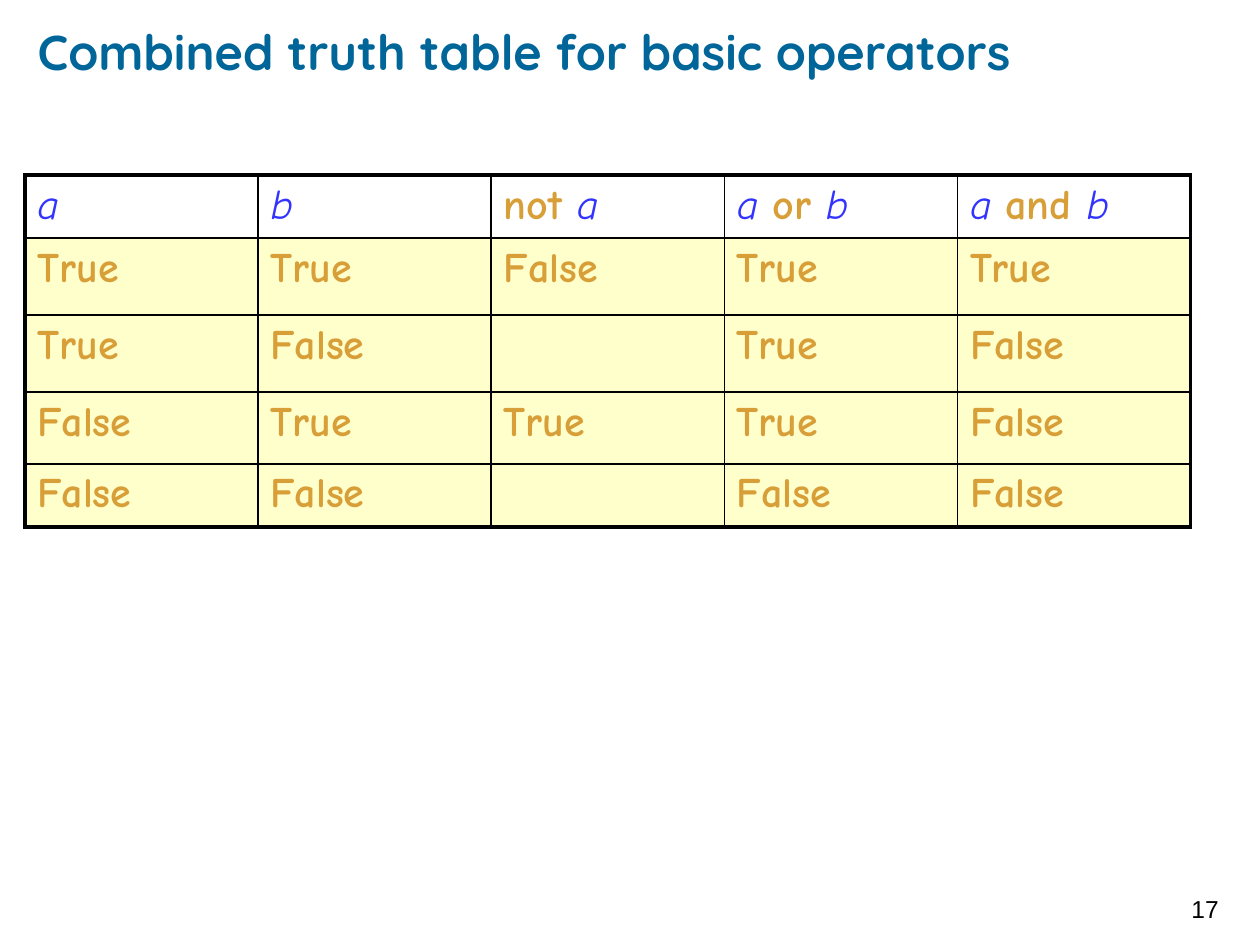
import pptx
import pptx.util
import pptx.dml.color
import pptx.enum.text
import pptx.oxml
import pptx.oxml.ns

Cm, Pt = pptx.util.Cm, pptx.util.Pt
HUES = {"title": "006699", "name": "3333FF", "word": "D89F39",
        "fill": "FFFFCC", "ink": "000000"}
HEAD = ["a", "b", "not a", "a or b", "a and b"]
BODY = [["True", "True", "False", "True", "True"],
        ["True", "False", "", "True", "False"],
        ["False", "True", "True", "True", "False"],
        ["False", "False", "", "False", "False"]]
TALL = [1.22, 1.55, 1.55, 1.45, 1.22]


def rgb(key):
    """Return the named colour."""
    return pptx.dml.color.RGBColor.from_string(HUES[key])


def style(run, face, size, hue, bold=False, slant=False):
    """Set the font of a run."""
    font = run.font
    font.name, font.size = face, Pt(size)
    font.bold, font.italic = bold, slant
    font.color.rgb = rgb(hue)


def label(slide, box, text, pad, *look):
    """Place one line of text, centred vertically in its box."""
    frame = slide.shapes.add_textbox(*map(Cm, box)).text_frame
    frame.word_wrap = True
    frame.vertical_anchor = pptx.enum.text.MSO_ANCHOR.MIDDLE
    frame.margin_left = frame.margin_right = Cm(pad)
    frame.margin_top = frame.margin_bottom = Cm(pad)
    frame.text = text
    style(frame.paragraphs[0].runs[0], *look)


def edge(cell, side, width):
    """Draw one border of a cell."""
    cell._tc.get_or_add_tcPr().append(pptx.oxml.parse_xml(
        f'<a:ln{side} {pptx.oxml.ns.nsdecls("a")} w="{Pt(width)}"><a:solidFill>'
        f'<a:srgbClr val="{HUES["ink"]}"/></a:solidFill></a:ln{side}>'))


def write(cell, text):
    """Write an expression, with variables slanted and other words bold."""
    words = text.split()
    for i, word in enumerate(words):
        run = cell.text_frame.paragraphs[0].add_run()
        run.text = word if i == len(words) - 1 else word + " "
        name = word in ("a", "b")
        style(run, "Comic Neue", 24, "name" if name else "word", not name, name)


def truth(slide, box):
    """Build the truth table in its box."""
    rows = [HEAD] + BODY
    high, wide = len(rows), len(HEAD)
    grid = slide.shapes.add_table(high, wide, *map(Cm, box)).table
    grid.first_row = grid.horz_banding = False
    for col in grid.columns:
        col.width = Cm(box[2] / wide)
    for r, row in enumerate(rows):
        grid.rows[r].height = Cm(TALL[r])
        for c, text in enumerate(row):
            cell = grid.cell(r, c)
            outer = {"L": c == 0, "R": c == wide - 1,
                     "T": r == 0, "B": r == high - 1}
            for side, rim in outer.items():
                edge(cell, side, 2.25 if rim else 1)
            if r:
                cell.fill.solid()
                cell.fill.fore_color.rgb = rgb("fill")
            else:
                cell.fill.background()
            write(cell, text)


def main():
    """Build and save the slide."""
    deck = pptx.Presentation()
    deck.slide_width, deck.slide_height = Cm(25.4), Cm(19.05)
    slide = deck.slides.add_slide(deck.slide_layouts[6])
    label(slide, (0.76, 0.46, 22.94, 1.14),
          "Combined truth table for basic operators", 0,
          "Quicksand", 28, "title", True)
    truth(slide, (0.5, 3.53, 23.5, sum(TALL)))
    label(slide, (23.77, 17.6, 1.52, 1.45), "17", 0.25, "Arial", 14, "ink")
    deck.save("out.pptx")


if __name__ == "__main__":
    main()
